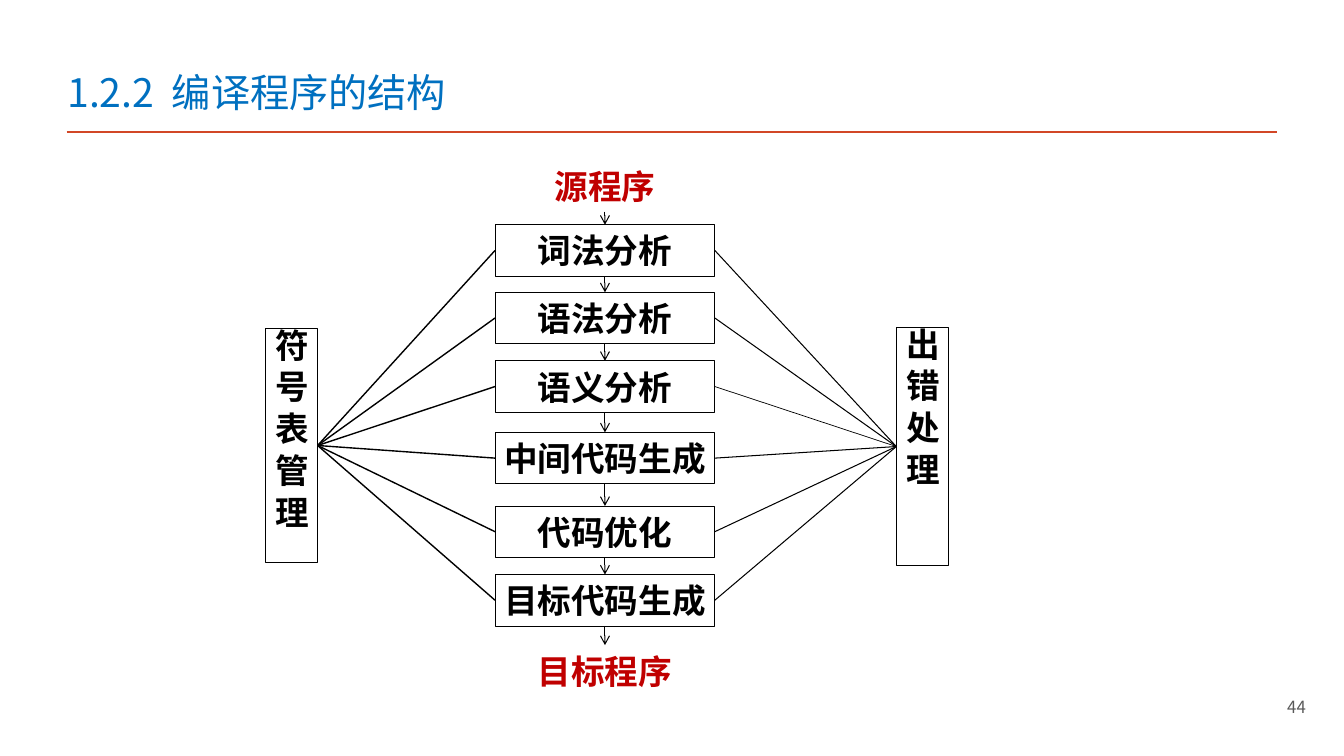
from pptx import Presentation
from pptx import util as u
from pptx.dml.color import RGBColor
from pptx.enum import shapes, text
from pptx.oxml.ns import qn
from lxml import etree

FONT = "Noto Sans CJK SC"
BLACK, WHITE, RED = "000000", "FFFFFF", "C00000"
TITLE = ("1.2.2", " ", "编译程序的结构")
PAGE = "44"
CENTER_X, BOX_H = 6, 0.51
SOURCE = ("源程序", 1.59, 1.12)
TARGET = ("目标程序", 6.4, 1.47)
STAGE_W = 2.18
STAGES = [
    ("词法分析", 2.23),
    ("语法分析", 2.9),
    ("语义分析", 3.58),
    ("中间代码生成", 4.29),
    ("代码优化", 5.02),
    ("目标代码生成", 5.7),
]
SYMBOLS = ("符 号 表 管 理", (2.63, 3.26, 0.52, 2.32))
ERRORS = ("出 错 处 理", (8.89, 3.25, 0.52, 2.36))
ERROR_LINES = [0.75, 0.75, 0.5, 0.75, 0.75, 0.75]
TOP, LEFT, BOTTOM, RIGHT = range(4)
ALIGN, ANCHOR = text.PP_ALIGN, text.MSO_ANCHOR

prs = Presentation()
prs.slide_width, prs.slide_height = u.Inches(13.33), u.Inches(7.5)
s = prs.slides.add_slide(prs.slide_layouts[6])


def rgb(code):
    return RGBColor.from_string(code)


def style(r, size, color, bold=False):
    f = r.font
    f.size, f.bold, f.name = u.Pt(size), bold, FONT
    f.color.rgb = rgb(color)
    ea = etree.SubElement(r._r.get_or_add_rPr(), qn("a:ea"))
    ea.set("typeface", FONT)


def label(at, runs, size, color, anchor, align):
    tf = s.shapes.add_textbox(*map(u.Inches, at)).text_frame
    tf.word_wrap, tf.vertical_anchor = True, anchor
    p = tf.paragraphs[0]
    p.alignment = align
    for words in runs:
        r = p.add_run()
        r.text = words
        style(r, size, color)
    return p


def box(words, at, color=BLACK, line=BLACK, vertical=False):
    sp = s.shapes.add_shape(shapes.MSO_SHAPE.RECTANGLE, *map(u.Inches, at))
    sp.shadow.inherit = False
    sp.fill.solid()
    sp.fill.fore_color.rgb = rgb(WHITE)
    sp.line.color.rgb = rgb(line)
    sp.line.width = u.Pt(0.5)
    tf = sp.text_frame
    tf.margin_left = tf.margin_right = tf.margin_top = tf.margin_bottom = 0
    tf.vertical_anchor = ANCHOR.MIDDLE
    tf.text = words
    p = tf.paragraphs[0]
    p.alignment = ALIGN.LEFT if vertical else ALIGN.CENTER
    if vertical:
        tf._txBody.bodyPr.set("vert", "eaVert")
    style(p.runs[0], 24, color, True)
    return sp


def centered(words, top, width, **colors):
    return box(words, (CENTER_X - width / 2, top, width, BOX_H), **colors)


def connector(start, end, color, width):
    c = s.shapes.add_connector(shapes.MSO_CONNECTOR.STRAIGHT,
                               *map(u.Inches, start + end))
    c.line.color.rgb = rgb(color)
    c.line.width = u.Pt(width)
    etree.SubElement(c._element.spPr, qn("a:effectLst"))
    return c


def join(a, a_side, b, b_side, width, arrow=False):
    c = connector((0, 0), (0, 0), BLACK, width)
    c.begin_connect(a, a_side)
    c.end_connect(b, b_side)
    if arrow:
        etree.SubElement(c.line._get_or_add_ln(), qn("a:tailEnd")).set("type", "arrow")


connector((0.66, 1.31), (12.67, 1.31), "D24726", 2)
title = label((0.57, 0.49, 7.52, 0.7), TITLE, 28, "0070C0", ANCHOR.BOTTOM, ALIGN.LEFT)
title.runs[1]._r.get_or_add_rPr().set("spc", "630")
label((9.16, 6.81, 3.89, 0.4), [PAGE], 12, "595959", ANCHOR.MIDDLE, ALIGN.RIGHT)

source = centered(*SOURCE, color=RED, line=WHITE)
target = centered(*TARGET, color=RED, line=WHITE)
stages = [centered(words, top, STAGE_W) for words, top in STAGES]
symbols = box(*SYMBOLS, vertical=True)
errors = box(*ERRORS, vertical=True)

for stage, width in zip(stages, ERROR_LINES):
    join(errors, LEFT, stage, RIGHT, width)
    join(symbols, RIGHT, stage, LEFT, 1)

flow = [source, *stages, target]
for a, b in zip(flow, flow[1:]):
    join(a, BOTTOM, b, TOP, 0.75, arrow=True)

prs.save("out.pptx")
